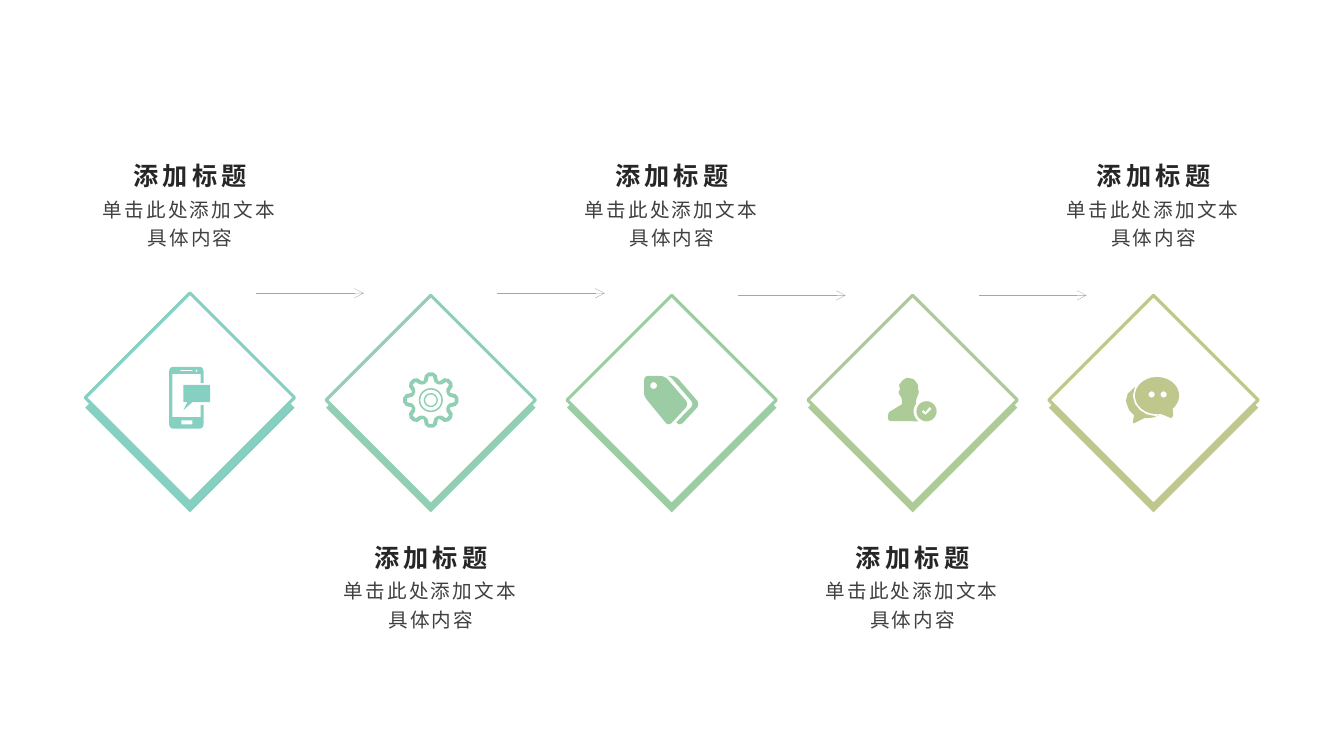
from math import cos, radians, sin

from lxml.etree import SubElement
from pptx import Presentation
from pptx.dml.color import RGBColor
from pptx.enum.shapes import MSO_CONNECTOR as Connector, MSO_SHAPE as Preset
from pptx.enum.text import MSO_ANCHOR as Anchor, PP_ALIGN as Align
from pptx.oxml.ns import qn
from pptx.util import Pt

WHITE = RGBColor(0xFF, 0xFF, 0xFF)
TITLE_COLOR = RGBColor(0x26, 0x26, 0x26)
BODY_COLOR = RGBColor(0x40, 0x40, 0x40)
ARROW_COLOR = RGBColor(0xA6, 0xA6, 0xA6)
TEAL = RGBColor(0x86, 0xD0, 0xC2)
MINT = RGBColor(0x90, 0xCF, 0xB3)
GREEN = RGBColor(0x9B, 0xCC, 0xA3)
LEAF = RGBColor(0xAD, 0xCB, 0x97)
OLIVE = RGBColor(0xBF, 0xC7, 0x8D)

FONT = "Noto Sans CJK SC"
FIRST_CENTER, STEP = 135.7, 172.08
ICON_CENTER = 285.8
DIAMOND_SIDE = 105.8
TEXT_WIDTH = 150.5


def arc(x, y, radius, start=0, end=360, height_radius=None):
    steps = 24 if abs(end - start) > 90 else 6
    angles = [radians(start + (end - start) * i / steps) for i in range(steps + 1)]
    return [(x + radius * cos(a), y + (height_radius or radius) * sin(a)) for a in angles]


def gear_outline(tooth):
    polar = [(radians(45 * k + turn), radius) for k in range(8) for turn, radius in tooth]
    return [(radius * cos(a), radius * sin(a)) for a, radius in polar]


phone = [
    arc(-11.8, -20.8, 3, 180, 270) + arc(6.7, -20.8, 3, 270, 360)
    + [(9.7, -12.2), (7.6, -12.2), (7.6, -18.7), (-12.6, -18.7),
       (-12.6, 12.2), (7.6, 12.2), (7.6, 3.6), (9.7, 3.6)]
    + arc(6.7, 17.4, 3, 0, 90) + arc(-11.8, 17.4, 3, 90, 180),
    [(-6.1, 14.4), (1.8, 14.4), (1.8, 17.3), (-6.1, 17.3)],
    [(-6.8, -21.6), (1.8, -21.6), (1.8, -20.7), (-6.8, -20.7)],
    arc(4.7, -21, 0.7),
    [(-4.7, -10.8), (14.4, -10.8), (14.4, 1.4), (1.8, 1.4),
     (-4.7, 7.2), (-1.8, 1.4), (-4.7, 1.4)],
]
gear = [
    gear_outline([(-20, 14.8), (-13.5, 18.3), (-5, 19.8), (5, 19.8), (13.5, 18.3), (20, 14.8)]),
    gear_outline([(-18, 12.5), (-10, 13.6), (-5, 17), (5, 17), (10, 13.6), (18, 12.5)]),
] + [arc(0, 0, radius) for radius in (8.6, 7.5, 5, 4)]
tags = [
    [(10.4, 0.7), (11, 2.9), (10.4, 5), (-0.4, 16.6), (-2.5, 17.3), (-4, 16.6),
     (-17.6, 0), (-19.1, -2.2), (-19.8, -4.3), (-19.8, -14.4), (-19.1, -16.6),
     (-16.9, -17.3), (-7.6, -17.3), (-5.4, -16.6), (-3.2, -15.1)],
    arc(-13, -10.4, 2.4),
    [(18.4, 0.7), (18.9, 2.9), (18.4, 5), (7.6, 16.6), (5.4, 17.3), (4, 16.6),
     (3.2, 15.8), (14, 5), (14.8, 2.9), (14, 0.7), (0.4, -15.1), (-1.1, -16.6),
     (-3.2, -17.3), (0.4, -17.3), (2.5, -16.6), (4.7, -15.1)],
]
user = [
    [(-3.2, -15.9), (0.4, -15.1), (1.8, -13.7), (3.8, -11), (3.9, -7.4), (4.5, -6),
     (4, -4), (3.2, -2.2), (2.5, 0)]
    + arc(9.9, 8, 9.3, 218, 130)
    + [(-16.2, 15.1), (-17.6, 13.7), (-17.6, 10.8), (-16.9, 8.6), (-7.6, 2.9),
       (-7.6, 0), (-8.3, -2.2), (-9.7, -4.3), (-10, -6.5), (-9, -7.2),
       (-9.7, -10.8), (-7.6, -13.7), (-4.7, -15.8)],
    arc(9.9, 8, 7.2),
    [(12, 4.8), (13.5, 6.4), (9.2, 10.6), (6.3, 8.4), (7.7, 7), (9.2, 8.4)],
]
chat = [
    arc(2.5, -3.2, 15.8, 80, 405, 13.3) + [(14, 11), (12.8, 13)],
    arc(7.2, -4, 2.2),
    arc(-1.4, -4, 2.2),
    [(-13.3, -9.4), (-14.8, -2.9), (-13.3, 2.9), (-9.7, 7.2), (-5, 10.2), (1.8, 11.5),
     (4, 10.8), (0, 12.4), (-4.7, 13), (-6.8, 13), (-14, 16.6), (-14.8, 16.2),
     (-14, 10.8), (-17.6, 7), (-19.8, 0.7), (-18.5, -4.5)],
]

steps = [
    (TEAL, phone, 231.1, 209.5),
    (MINT, gear, 232.8, 209.5),
    (GREEN, tags, 232.8, 211),
    (LEAF, user, 232.8, 211),
    (OLIVE, chat, 232.8, None),
]

presentation = Presentation()
presentation.slide_width = Pt(960)
presentation.slide_height = Pt(540)
slide = presentation.slides.add_slide(presentation.slide_layouts[6])

for index, (color, icon, diamond_top, arrow_y) in enumerate(steps):
    center = FIRST_CENTER + index * STEP

    for top, fill_color in ((238.3, color), (diamond_top, WHITE)):
        diamond = slide.shapes.add_shape(
            Preset.RECTANGLE, Pt(center - DIAMOND_SIDE / 2), Pt(top),
            Pt(DIAMOND_SIDE), Pt(DIAMOND_SIDE))
        diamond.rotation = 315
        diamond.shadow.inherit = False
        diamond.fill.solid()
        diamond.fill.fore_color.rgb = fill_color
        if fill_color == WHITE:
            diamond.line.color.rgb = color
            diamond.line.width = Pt(2.25)
        else:
            diamond.line.fill.background()

    builder = None
    for contour in icon:
        points = [(Pt(center + x), Pt(ICON_CENTER + y)) for x, y in contour]
        if builder is None:
            builder = slide.shapes.build_freeform(*points[0])
        else:
            builder.move_to(*points[0])
        builder.add_line_segments(points[1:], close=True)
    icon_shape = builder.convert_to_shape()
    icon_shape.shadow.inherit = False
    icon_shape.fill.solid()
    icon_shape.fill.fore_color.rgb = color
    icon_shape.line.fill.background()

    title_top, body_top, body_height = (378.7, 410.4, 61.2) if index % 2 else (105.8, 138.2, 63.4)
    captions = [
        ("单击此处添加文本具体内容", body_top, body_height, Anchor.TOP, 0, 3.6, 14, BODY_COLOR, False, "150"),
        ("添加标题", title_top, 30.2, Anchor.BOTTOM, 3.6, 0, 18, TITLE_COLOR, True, "300"),
    ]
    for text, top, height, anchor, inset_top, inset_bottom, size, text_color, bold, spacing in captions:
        box = slide.shapes.add_textbox(
            Pt(center - TEXT_WIDTH / 2), Pt(top), Pt(TEXT_WIDTH), Pt(height))
        frame = box.text_frame
        frame.word_wrap = True
        frame.vertical_anchor = anchor
        frame.margin_top, frame.margin_bottom = Pt(inset_top), Pt(inset_bottom)
        paragraph = frame.paragraphs[0]
        paragraph.alignment = Align.CENTER
        paragraph.line_spacing = 1.2
        run = paragraph.add_run()
        run.text = text
        run.font.size = Pt(size)
        run.font.bold = bold
        run.font.color.rgb = text_color
        run.font.name = FONT
        properties = run._r.get_or_add_rPr()
        properties.set("spc", spacing)
        SubElement(properties, qn("a:ea")).set("typeface", FONT)

    if arrow_y:
        arrow = slide.shapes.add_connector(
            Connector.STRAIGHT, Pt(center + 47.2), Pt(arrow_y), Pt(center + 124.2), Pt(arrow_y))
        arrow.line.color.rgb = ARROW_COLOR
        arrow.line.width = Pt(0.25)
        SubElement(arrow.line._get_or_add_ln(), qn("a:tailEnd")).set("type", "arrow")
        SubElement(arrow._element.spPr, qn("a:effectLst"))

presentation.save("out.pptx")
